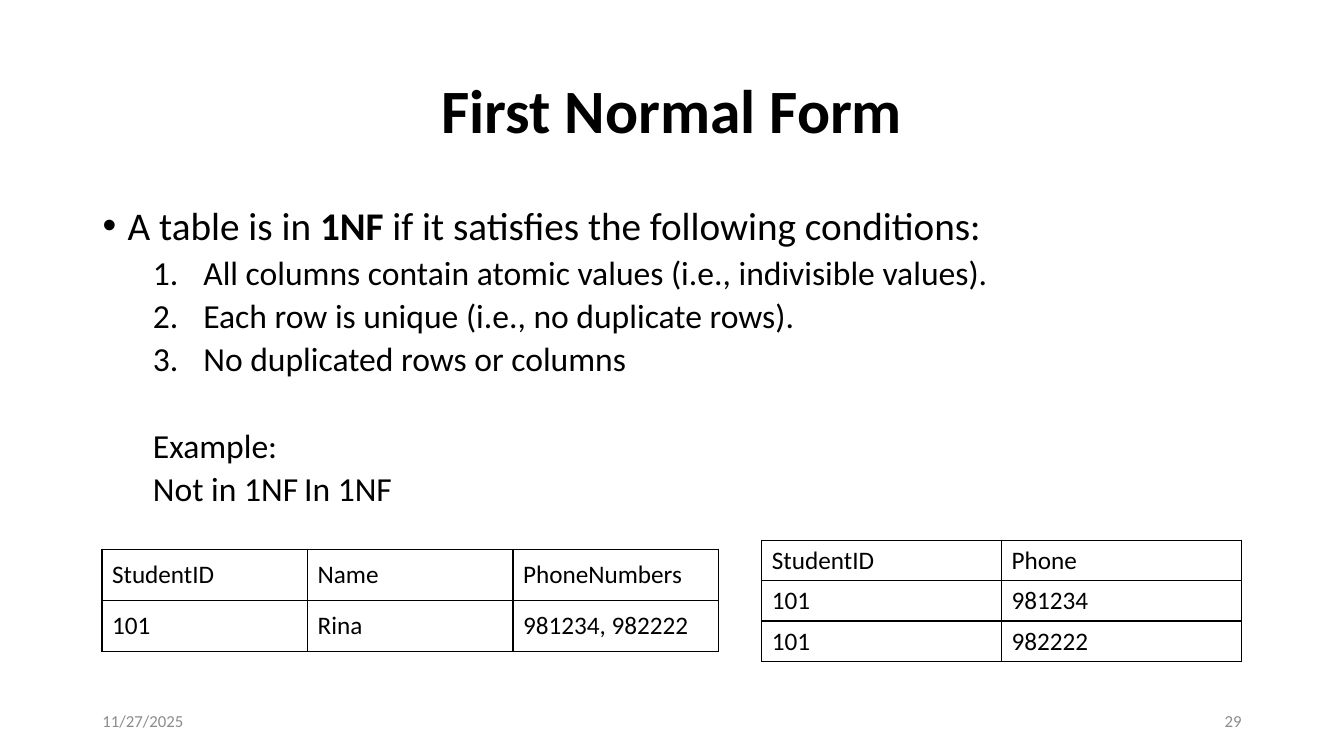
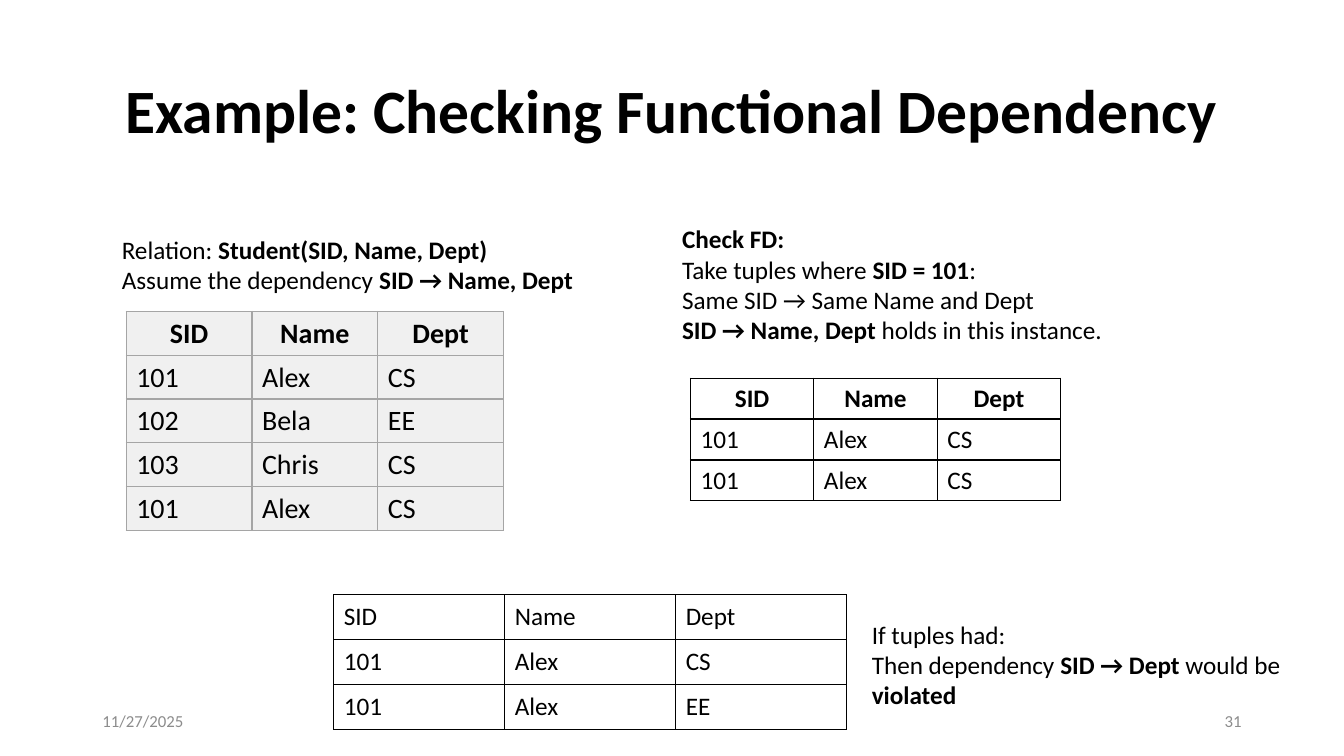
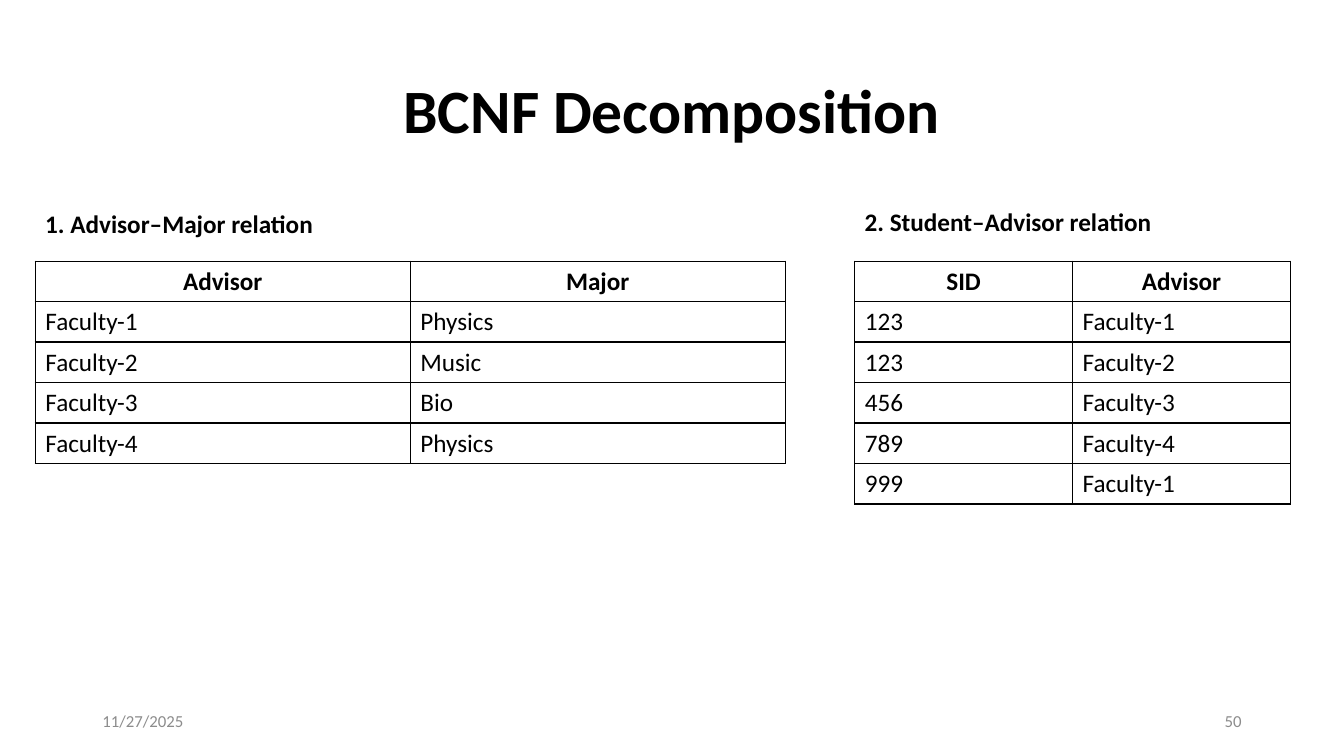
from pptx import Presentation
from pptx.dml.color import RGBColor as Rgb
from pptx.enum.text import MSO_ANCHOR as Anc, MSO_AUTO_SIZE as Fit, PP_ALIGN as Al
from pptx.oxml.ns import qn
from pptx.util import Cm, Pt
from lxml.etree import SubElement as Sub

FONT, BLACK, GREY, PALE, MUTE = "Calibri", "000000", "A5A5A5", "F0F0F0", "8C8C8C"
DATE = "11/27/2025"
HALF = Cm(1.27)
HEAD = ["SID", "Name", "Dept"]
ALEX = ["101", "Alex", "CS"]
BULLET = dict(mark=("buChar", {"char": "•"}), left=HALF // 2, hang=-HALF // 2,
              gap=10, size=28)
STEP = dict(mark=("buAutoNum", {"type": "arabicPeriod"}), left=2 * HALF,
            hang=-HALF, level=1)
PLAIN = dict(left=HALF, level=1)
CONDS = [
    ("A table is in **1NF** if it satisfies the following conditions:", BULLET),
    ("All columns contain atomic values (i.e., indivisible values).", STEP),
    ("Each row is unique (i.e., no duplicate rows).", STEP),
    ("No duplicated rows or columns", STEP),
    ("Example:", dict(PLAIN, gap=36)),
    ("Not in 1NF\tIn 1NF", dict(hang=HALF, level=1, tab=Cm(19.05))),
]


def color(code):
    return Rgb.from_string(code)


def put(obj, vals):
    for name, val in vals.items():
        setattr(obj, name, val)


def place(shape, box):
    put(shape, dict(zip(("left", "top", "width", "height"), map(Cm, box))))


def write(par, text, size=18, tint=BLACK, bold=False, align=Al.LEFT):
    par.alignment = align
    for i, part in enumerate(text.split("**")):
        if part:
            run = par.add_run()
            run.text = part
            put(run.font, dict(name=FONT, size=Pt(size), bold=bold or i % 2 == 1))
            run.font.color.rgb = color(tint)


def lines(frame, texts):
    for i, text in enumerate(texts):
        yield (frame.add_paragraph() if i else frame.paragraphs[0]), text


def label(slide, box, texts, anchor=Anc.TOP, **look):
    frame = slide.shapes.add_textbox(*map(Cm, box)).text_frame
    put(frame, dict(word_wrap=True, vertical_anchor=anchor))
    for par, text in lines(frame, texts):
        write(par, text, **look)


def item(par, text, mark=("buNone", {}), left=0, hang=0, gap=5, size=24,
         level=0, tab=None):
    put(par, dict(level=level, line_spacing=0.9, space_before=Pt(gap),
                  space_after=Pt(0)))
    write(par, text, size)
    props = par._p.get_or_add_pPr()
    props.set("marL", str(int(left)))
    props.set("indent", str(int(hang)))
    Sub(props, qn("a:" + mark[0]), mark[1])
    if tab:
        stops = Sub(props, qn("a:tabLst"))
        Sub(stops, qn("a:tab"), {"pos": str(int(tab)), "algn": "l"})


def listing(slide, items):
    body = slide.placeholders[1]
    place(body, (2.33, 5.08, 29.21, 12.09))
    body.text_frame.auto_size = Fit.NONE
    for par, (text, look) in lines(body.text_frame, items):
        item(par, text, **look)


def edge(cell, tint):
    props = cell._tc.get_or_add_tcPr()
    for i, side in enumerate(("lnL", "lnR", "lnT", "lnB")):
        line = props.makeelement(qn("a:" + side), {"w": str(Pt(1))})
        Sub(Sub(line, qn("a:solidFill")), qn("a:srgbClr"), {"val": tint})
        props.insert(i, line)


def grid(slide, spot, wide, high, rows, head=True, size=18, tint=BLACK, fill=None):
    count = len(rows[0])
    box = (*spot, wide * count, high * len(rows))
    table = slide.shapes.add_table(len(rows), count, *map(Cm, box)).table
    put(table, dict(first_row=head, horz_banding=False))
    for col in table.columns:
        col.width = Cm(wide)
    for r, row in enumerate(rows):
        table.rows[r].height = Cm(high)
        top = head and r == 0
        for c, text in enumerate(row):
            cell = table.cell(r, c)
            cell.vertical_anchor = Anc.MIDDLE
            write(cell.text_frame.paragraphs[0], text, size, bold=top,
                  align=Al.CENTER if top else Al.LEFT)
            if fill:
                cell.fill.solid()
                cell.fill.fore_color.rgb = color(fill)
            else:
                cell.fill.background()
            edge(cell, tint)


def start(deck, title, page, layout=5):
    slide = deck.slides.add_slide(deck.slide_layouts[layout])
    head = slide.shapes.title
    place(head, (2.33, 1.02, 29.21, 3.68))
    put(head.text_frame, dict(auto_size=Fit.NONE, vertical_anchor=Anc.MIDDLE))
    par = head.text_frame.paragraphs[0]
    par.line_spacing = 0.9
    write(par, title, 44, bold=True, align=Al.CENTER)
    for left, text, align in ((2.33, DATE, Al.LEFT), (23.92, page, Al.RIGHT)):
        label(slide, (left, 17.65, 7.62, 1.02), [text], Anc.MIDDLE,
              size=12, tint=MUTE, align=align)
    return slide


def first(deck):
    slide = start(deck, "First Normal Form", "29", 1)
    listing(slide, CONDS)
    grid(slide, (2.57, 13.84), 5.18, 1.29,
         [["StudentID", "Name", "PhoneNumbers"],
          ["101", "Rina", "981234, 982222"]], head=False)
    grid(slide, (19.2, 13.61), 6.04, 1.02,
         [["StudentID", "Phone"], ["101", "981234"], ["101", "982222"]], head=False)


def check(deck):
    slide = start(deck, "Example: Checking Functional Dependency", "31")
    grid(slide, (3.18, 7.85), 3.17, 1.1,
         [HEAD, ALEX, ["102", "Bela", "EE"], ["103", "Chris", "CS"], ALEX],
         size=20, tint=GREY, fill=PALE)
    label(slide, (2.82, 5.77, 29.77, 1.8),
          ["Relation: **Student(SID, Name, Dept)**",
           "Assume the dependency **SID → Name, Dept**"])
    label(slide, (16.94, 5.51, 16.93, 3.33),
          ["**Check FD:**", "Take tuples where **SID = 101**:",
           "Same SID → Same Name and Dept",
           "**SID → Name, Dept** holds in this instance."])
    grid(slide, (17.4, 9.53), 3.11, 1.03, [HEAD, ALEX, ALEX])
    grid(slide, (8.41, 14.99), 4.31, 1.13,
         [HEAD, ALEX, ["101", "Alex", "EE"]], head=False)
    label(slide, (21.72, 15.47, 10.85, 3.33),
          ["If tuples had:",
           "Then dependency **SID → Dept** would be **violated**"])


def split(deck):
    slide = start(deck, "BCNF Decomposition", "50")
    grid(slide, (0.89, 6.58), 9.45, 1.02,
         [["Advisor", "Major"], ["Faculty-1", "Physics"], ["Faculty-2", "Music"],
          ["Faculty-3", "Bio"], ["Faculty-4", "Physics"]])
    grid(slide, (21.54, 6.58), 5.49, 1.02,
         [["SID", "Advisor"], ["123", "Faculty-1"], ["123", "Faculty-2"],
          ["456", "Faculty-3"], ["789", "Faculty-4"], ["999", "Faculty-1"]])
    label(slide, (0.89, 5.13, 16.94, 1.02), ["1. Advisor–Major relation"], bold=True)
    label(slide, (21.54, 5.08, 8.43, 1.02), ["2. Student–Advisor relation"], bold=True)


def main():
    deck = Presentation()
    put(deck, dict(slide_width=Cm(33.87), slide_height=Cm(19.05)))
    for build in (first, check, split):
        build(deck)
    deck.save("out.pptx")


if __name__ == "__main__":
    main()
